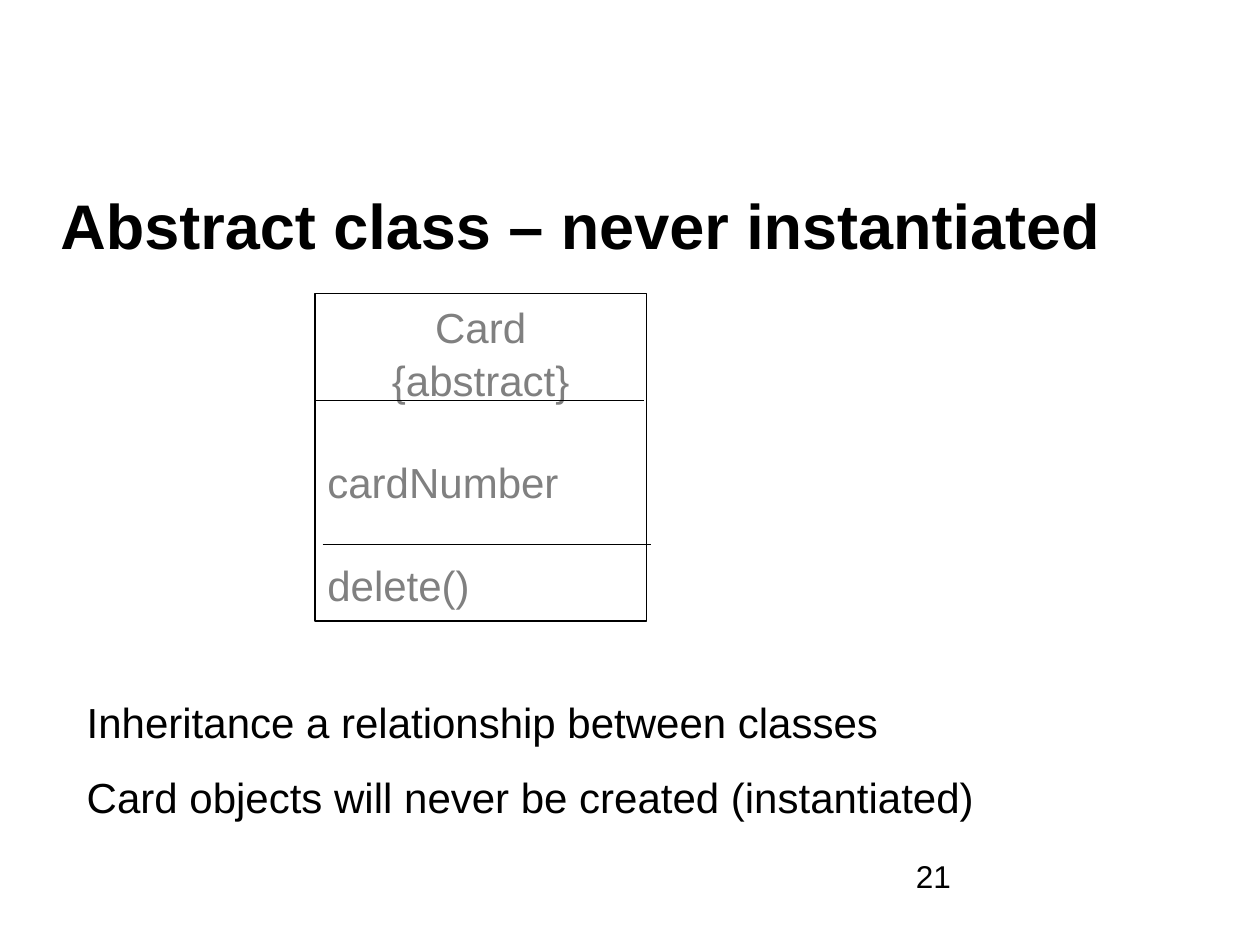
from pptx import Presentation
from pptx.dml.color import RGBColor
from pptx.enum.shapes import MSO_CONNECTOR, MSO_SHAPE
from pptx.enum.text import MSO_ANCHOR, PP_ALIGN
from pptx.oxml.ns import qn
from pptx.util import Inches, Pt
from lxml.etree import SubElement

BLACK = RGBColor(0, 0, 0)
GRAY = RGBColor(0x80, 0x80, 0x80)
WHITE = RGBColor(0xFF, 0xFF, 0xFF)

# Content
TITLE = "Abstract class – never instantiated"
# Text, alignment, space before in points
CLASS_LINES = [
    ("Card", PP_ALIGN.CENTER, 0),
    ("{abstract}", PP_ALIGN.CENTER, 0),
    ("cardNumber", PP_ALIGN.LEFT, 28.8),
    ("delete()", PP_ALIGN.LEFT, 28.8),
]
NOTES = [
    ("Inheritance a relationship between classes", PP_ALIGN.LEFT, 0),
    ("Card objects will never be created (instantiated)", PP_ALIGN.LEFT, 14),
]
PAGE_NUMBER = [("21", PP_ALIGN.LEFT, 0)]
DIVIDERS = [(2.5, 3.18), (2.56, 4.32)]
DIVIDER_WIDTH = 2.61


def place(shape, left, top, width, height):
    shape.left, shape.top = Inches(left), Inches(top)
    shape.width, shape.height = Inches(width), Inches(height)


def write(shape, lines, size, color, bold=False, anchor=MSO_ANCHOR.TOP, spacing=1.0):
    frame = shape.text_frame
    frame.word_wrap = True
    frame.vertical_anchor = anchor
    frame.text = "\n".join(text for text, _, _ in lines)
    for paragraph, (_, alignment, space_before) in zip(frame.paragraphs, lines):
        paragraph.alignment = alignment
        paragraph.space_before = Pt(space_before)
        paragraph.line_spacing = spacing
        font = paragraph.runs[0].font
        font.name, font.size, font.bold = "Arial", Pt(size), bold
        font.color.rgb = color


def outline(shape):
    shape.line.color.rgb = BLACK
    shape.line.width = Pt(0.75)


presentation = Presentation()
presentation.slide_width, presentation.slide_height = Inches(10), Inches(7.5)
slide = presentation.slides.add_slide(presentation.slide_layouts[5])

# Title
title = slide.shapes.title
place(title, 0.38, 1.4, 9.24, 0.76)
write(title, [(TITLE, PP_ALIGN.LEFT, 0)], 36, BLACK, True, MSO_ANCHOR.MIDDLE)

# Class diagram
diagram = slide.shapes.add_group_shape()
class_box = diagram.shapes.add_shape(
    MSO_SHAPE.RECTANGLE, Inches(2.5), Inches(2.33), Inches(2.63), Inches(2.6))
class_box.shadow.inherit = False
class_box.fill.solid()
class_box.fill.fore_color.rgb = WHITE
outline(class_box)
write(class_box, CLASS_LINES, 24, GRAY, spacing=1.04)

for left, top in DIVIDERS:
    divider = diagram.shapes.add_connector(
        MSO_CONNECTOR.STRAIGHT, Inches(left), Inches(top),
        Inches(left + DIVIDER_WIDTH), Inches(top))
    outline(divider)
    SubElement(divider.element.spPr, qn("a:effectLst"))

# Notes and page number
for lines, size, box in [
    (NOTES, 24, (0.59, 5.48, 7.73, 1.11)),
    (PAGE_NUMBER, 18, (7.17, 6.75, 2.08, 0.5)),
]:
    text_box = slide.shapes.add_textbox(*map(Inches, box))
    write(text_box, lines, size, BLACK)

presentation.save("out.pptx")
